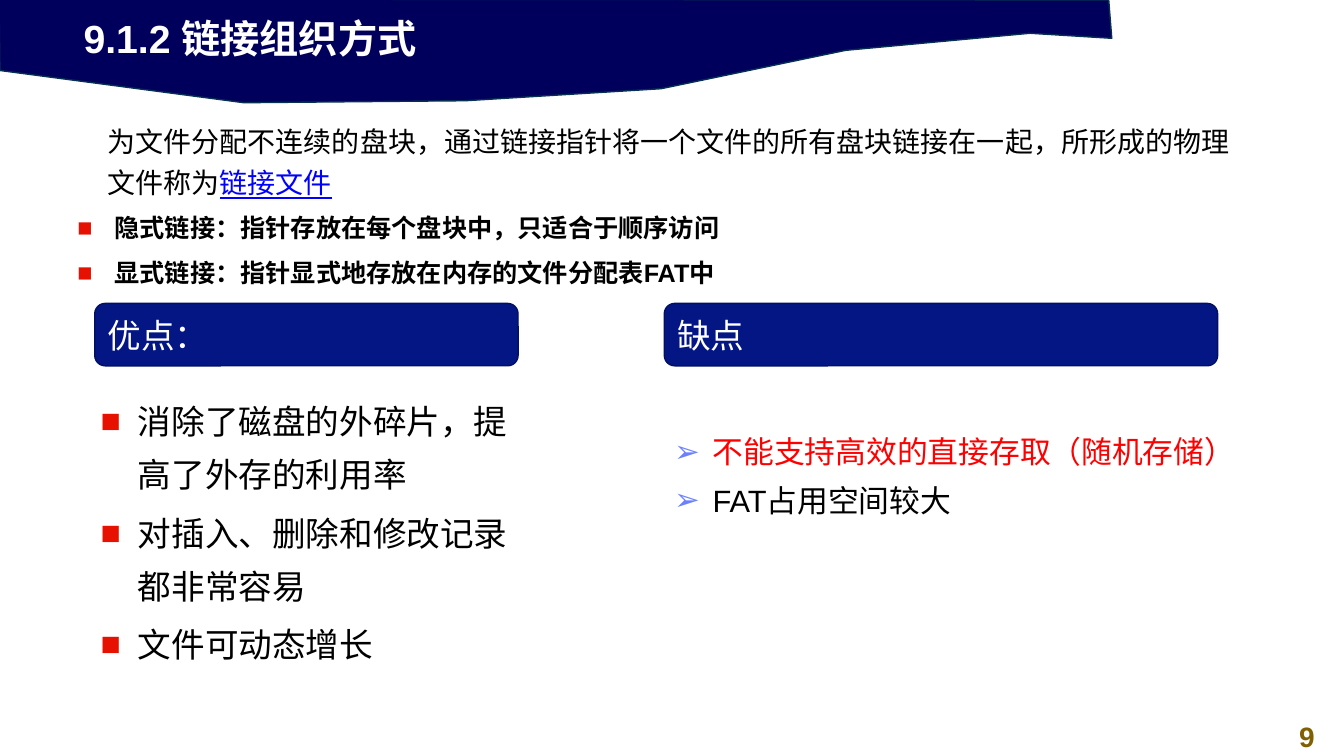
from lxml.etree import SubElement
from pptx import Presentation
from pptx.dml.color import RGBColor
from pptx.enum.shapes import MSO_SHAPE
from pptx.enum.text import MSO_ANCHOR, PP_ALIGN
from pptx.oxml.ns import qn
from pptx.util import Pt

WHITE, BLACK, RED, BLUE = "FFFFFF", "000000", "FF0000", "0000FF"
BANNER_FILL, BANNER_LINE = "00005C", "05304F"
HEADING_FILL, HEADING_LINE = "031684", "021062"

BANNER = [(-0.7, -0.7), (0, 50.4), (174.2, 73.4), (332.6, 72), (472.3, 63.4),
          (604.1, 36), (735.8, 23.8), (794.2, 27.4), (792, 0)]

# Bullet styles: (character, colour, indent)
SQUARE = ("■", "E71101", 26.6)
ARROW = ("➢", "6C81FC", 27.4)

# Text blocks: frame (left, top, width, height), paragraphs of (text, colour) runs, format
TEXTS = [
    ((907.2, 510.5, 52.6, 31.7), [[("9", "806000")]],
     dict(size=20, bold=True, align=PP_ALIGN.CENTER)),
    ((52.6, 6.5, 553, 41), [[("9.1.2 链接组织方式", WHITE)]], dict(size=28, bold=True)),
    ((69.8, 79.9, 820.1, 67),
     [[("为文件分配不连续的盘块，通过链接指针将一个文件的所有盘块链接在一起，"
        "所形成的物理文件称为", BLACK), ("链接文件", BLUE)]],
     dict(size=20, spacing=1.23)),
    ((48.2, 141.1, 746.6, 75.6),
     [[("隐式链接：指针存放在每个盘块中，只适合于顺序访问", BLACK)],
      [("显式链接：指针显式地存放在内存的文件分配表FAT中", BLACK)]],
     dict(size=18, bold=True, spacing=1.32, before=3.7, bullet=SQUARE)),
    ((64.8, 273.6, 326.2, 225.4),
     [[("消除了磁盘的外碎片，提高了外存的利用率", BLACK)],
      [("对插入、删除和修改记录都非常容易", BLACK)],
      [("文件可动态增长", BLACK)]],
     dict(size=24, spacing=1.32, before=3.7, bullet=SQUARE)),
    ((474.5, 297.4, 480.2, 77.8),
     [[("不能支持高效的直接存取（随机存储）", RED)], [("FAT占用空间较大", BLACK)]],
     dict(size=22, spacing=1.32, bullet=ARROW)),
]

# Headings: (left, width, text)
HEADINGS = [(67.7, 302.4, "优点："), (474.5, 395.3, "缺点")]
HEADING_TOP, HEADING_HEIGHT = 216.7, 44.6


def color(value):
    return RGBColor.from_string(value)


def paint(shape, fill, line):
    shape.shadow.inherit = False
    shape.fill.solid()
    shape.fill.fore_color.rgb = color(fill)
    shape.line.color.rgb = color(line)
    shape.line.width = Pt(1)


def add_bullet(para, character, bullet_color, indent):
    para.level = 1
    properties = para._p.get_or_add_pPr()
    properties.set("marL", str(Pt(indent)))
    properties.set("indent", str(-Pt(indent)))
    tint = SubElement(properties, qn("a:buClr"))
    SubElement(tint, qn("a:srgbClr"), val=bullet_color)
    SubElement(properties, qn("a:buFont"), typeface="Arial")
    SubElement(properties, qn("a:buChar"), char=character)


def write(frame, paragraphs, size, bold=False, align=PP_ALIGN.LEFT,
          spacing=None, before=0, bullet=None):
    frame.word_wrap = True
    for index, runs in enumerate(paragraphs):
        para = frame.add_paragraph() if index else frame.paragraphs[0]
        if bullet:
            add_bullet(para, *bullet)
        para.alignment = align
        if spacing:
            para.line_spacing = spacing
        if index and before:
            para.space_before = Pt(before)
        for text, text_color in runs:
            span = para.add_run()
            span.text = text
            span.font.name = "Arial"
            span.font.size = Pt(size)
            span.font.bold = bold
            span.font.color.rgb = color(text_color)
            if text_color == BLUE:
                span.font.underline = True


deck = Presentation()
deck.slide_width, deck.slide_height = Pt(960), Pt(540)
page = deck.slides.add_slide(deck.slide_layouts[6])

outline = [(Pt(x), Pt(y)) for x, y in BANNER]
builder = page.shapes.build_freeform(*outline[0])
builder.add_line_segments(outline[1:], close=True)
paint(builder.convert_to_shape(), BANNER_FILL, BANNER_LINE)

for left, width, text in HEADINGS:
    heading = page.shapes.add_shape(MSO_SHAPE.ROUNDED_RECTANGLE, Pt(left), Pt(HEADING_TOP),
                                    Pt(width), Pt(HEADING_HEIGHT))
    paint(heading, HEADING_FILL, HEADING_LINE)
    heading.text_frame.vertical_anchor = MSO_ANCHOR.MIDDLE
    write(heading.text_frame, [[(text, WHITE)]], size=24)

for place, paragraphs, style in TEXTS:
    box = page.shapes.add_textbox(*map(Pt, place))
    write(box.text_frame, paragraphs, **style)

deck.save("out.pptx")
